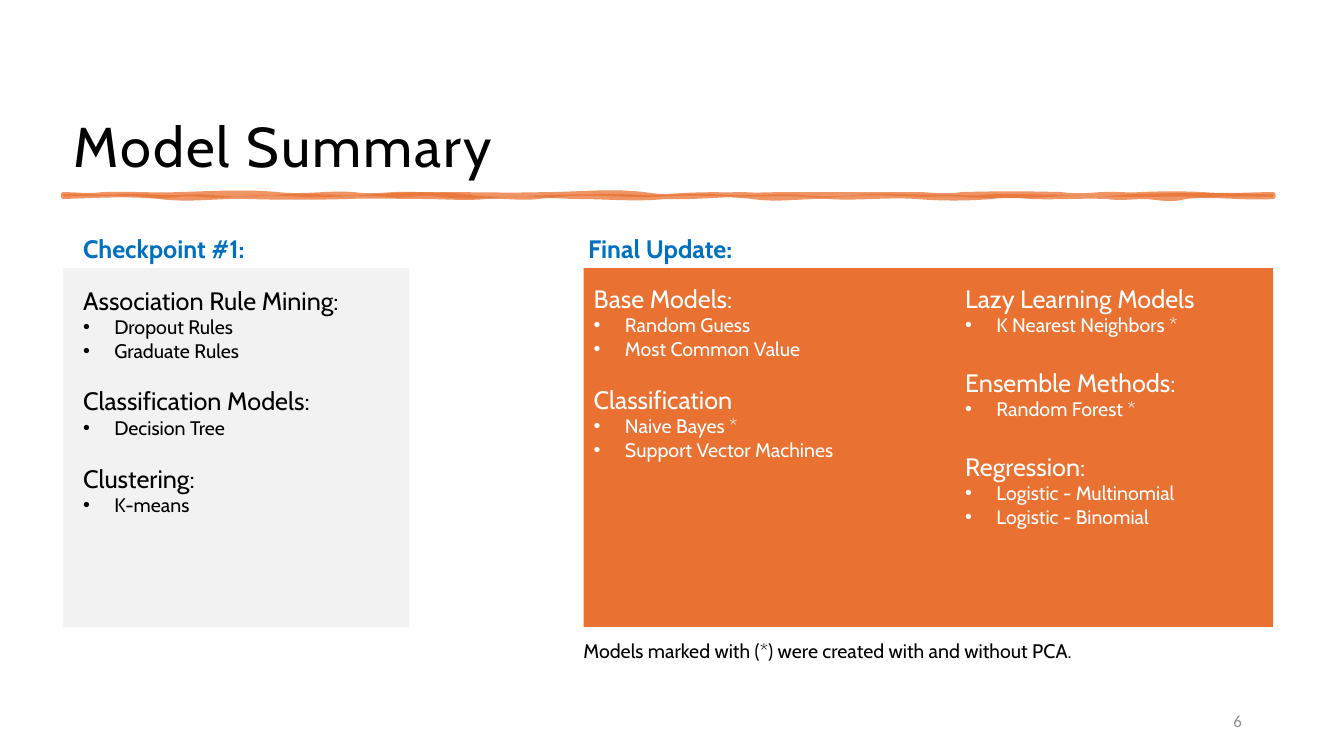
from copy import deepcopy

from lxml.etree import SubElement
from pptx import Presentation
from pptx.dml.color import RGBColor
from pptx.enum.shapes import MSO_SHAPE
from pptx.enum.text import MSO_ANCHOR, PP_ALIGN
from pptx.oxml.ns import qn
from pptx.util import Inches, Pt

BLACK, WHITE, GRAY, PALE = "000000", "FFFFFF", "8C8C8C", "F2F2F2"
ORANGE, BLUE = "E97132", "0070C0"

OUTLINE_TOP = [
    (13, 0, 2), (25, -1, 1), (33, -1, -3), (25, 3, -2), (13, 2, 1), (17, -1, 1),
    (33, 0, 1), (33, 0, -4), (33, 5, 0), (13, 1, 0), (25, 0, 0), (21, 0, 0),
    (13, 1, 2), (33, -1, -1), (13, 2, 1), (13, -1, 1), (21, -1, -1), (23, 2, 0)]
OUTLINE_BOTTOM = [
    (29, 2, -3), (13, 4, 1), (13, 0, 2), (25, -1, 1), (13, -1, -2), (25, 2, 2),
    (29, -2, 2), (25, -1, 4), (29, -3, -2), (29, 3, 0), (13, 0, -2), (17, 2, -1),
    (21, 2, 0), (25, 0, -1), (33, 1, 1), (29, -1, 4), (32, -3, -1)]
BODY_TOP = [
    (17, -2, 1), (13, -1, -1), (17, 2, -1), (25, 2, 3), (29, -3, 3), (33, -2, -4),
    (33, 5, 0), (21, 0, -1), (29, 2, -2), (25, 2, -1), (21, 2, 3), (29, -2, 1),
    (13, 0, 2), (21, -1, 0), (25, 1, 3), (49, -2, -2)]
BODY_BOTTOM = [
    (17, 0, 0), (13, 1, 1), (25, 0, 1), (17, -1, -1), (33, 2, 2), (13, -1, 1),
    (25, -1, -2), (13, 2, 1), (17, -1, 0), (29, 0, -2), (33, 2, -3), (17, 3, -2),
    (25, 2, 3), (17, -2, 3), (29, -2, 2), (21, -1, -2), (17, 3, -1), (13, 2, 2),
    (26, -1, -1)]


def color(value):
    return RGBColor.from_string(value)


def wave(segments, x, y, direction):
    curves = []
    for width, first, second in segments:
        step = direction * width / 3
        curves.append([(x + step, y + first), (x + 2 * step, y + second),
                       (x + 3 * step, y)])
        x += direction * width
    return curves


def contour(top, bottom):
    return wave(top, 0, 0, 1) + [[(400, 2)]] + wave(bottom, 400, 2, -1)


class Deck:
    font = "Cabin"
    heading_size = 18
    item_size = 14

    def __init__(self):
        self.prs = Presentation()
        self.prs.slide_width = Inches(13.33)
        self.prs.slide_height = Inches(7.5)
        self.s = self.prs.slides.add_slide(self.prs.slide_layouts[6])

    def x(self, percent):
        return round(self.prs.slide_width * percent / 100)

    def y(self, percent):
        return round(self.prs.slide_height * percent / 100)

    def area(self, left, top, width, height):
        return self.x(left), self.y(top), self.x(width), self.y(height)

    def frame(self, area, anchor=MSO_ANCHOR.TOP):
        tf = self.s.shapes.add_textbox(*self.area(*area)).text_frame
        tf.word_wrap = True
        tf.vertical_anchor = anchor
        return tf

    def run(self, p, text, size, fill, bold=False, font=None):
        r = p.add_run()
        r.text = text
        r.font.name = font or self.font
        r.font.size = Pt(size)
        r.font.bold = bold
        r.font.color.rgb = color(fill)
        return r

    def text(self, area, text, size, fill, bold=False, font=None,
             anchor=MSO_ANCHOR.TOP, align=PP_ALIGN.LEFT):
        p = self.frame(area, anchor).paragraphs[0]
        p.alignment = align
        self.run(p, text, size, fill, bold, font)
        return p

    def title(self, area, text):
        p = self.text(area, text, 40, BLACK, anchor=MSO_ANCHOR.BOTTOM)
        p.line_spacing = 0.9
        p.runs[0].font._element.set("spc", "150")

    def panel(self, area, fill):
        sp = self.s.shapes.add_shape(MSO_SHAPE.RECTANGLE, *self.area(*area))
        sp.shadow.inherit = False
        sp.fill.solid()
        sp.fill.fore_color.rgb = color(fill)
        sp.line.fill.background()

    def model_list(self, area, groups, fill, gap):
        tf = self.frame(area)
        p = tf.paragraphs[0]
        for index, (heading, items) in enumerate(groups):
            if index:
                p = tf.add_paragraph()
                p.space_before = Pt(gap)
            self.run(p, heading, self.heading_size, fill)
            for item in items:
                p = tf.add_paragraph()
                self.bullet(p)
                self.run(p, item, self.item_size, fill)

    def bullet(self, p):
        pPr = p._p.get_or_add_pPr()
        pPr.set("marL", str(Inches(0.31)))
        pPr.set("indent", str(-Inches(0.31)))
        SubElement(pPr, qn("a:buFont"), typeface="Arial")
        SubElement(pPr, qn("a:buChar"), char="•")

    def ribbon(self, left, top, outline, body, fill):
        column, row = Inches(0.03), Inches(0.01)
        x, y = self.x(left), self.y(top)
        builder = self.s.shapes.build_freeform(x, y)
        builder.add_line_segments(
            [(x + c[-1][0] * column, y + c[-1][1] * row) for c in outline])
        sp = builder.convert_to_shape()
        sp.shadow.inherit = False
        sp.fill.solid()
        sp.line.width = Pt(3.5)
        sp.line.fill.solid()
        for paint in (sp.fill, sp.line.fill):
            paint.fore_color.rgb = color(fill)
        for clr in sp._element.spPr.iter(qn("a:srgbClr")):
            SubElement(clr, qn("a:alpha"), val="75000")
        edge = next(sp._element.iter(qn("a:path")))
        inside = deepcopy(edge)
        edge.addnext(inside)
        edge.set("fill", "none")
        inside.set("stroke", "0")
        for path, curves in ((edge, outline), (inside, body)):
            for child in list(path)[1:]:
                path.remove(child)
            for curve in curves:
                tag = "a:cubicBezTo" if len(curve) == 3 else "a:lnTo"
                segment = SubElement(path, qn(tag))
                for px, py in curve:
                    SubElement(segment, qn("a:pt"), x=str(round(px * column)),
                               y=str(round(py * row)))
            SubElement(path, qn("a:close"))


def main():
    deck = Deck()
    deck.title((4.73, 3.47, 90.62, 20.93), "Model Summary")
    deck.ribbon(4.71, 25.73, contour(OUTLINE_TOP, OUTLINE_BOTTOM),
                contour(BODY_TOP, BODY_BOTTOM), ORANGE)
    deck.text((70.64, 92.67, 22.51, 5.33), "6", 12, GRAY, font="Calibri",
              anchor=MSO_ANCHOR.MIDDLE, align=PP_ALIGN.RIGHT)

    for left, label in ((5.44, "Checkpoint #1:"), (43.02, "Final Update:")):
        deck.text((left, 30.2, 22.51, 5.33), label, 18, BLUE, bold=True)

    deck.panel((4.71, 35.47, 25.73, 47.47), PALE)
    deck.model_list((5.44, 37.03, 22.51, 32.27), [
        ("Association Rule Mining:", ["Dropout Rules", "Graduate Rules"]),
        ("Classification Models:", ["Decision Tree"]),
        ("Clustering:", ["K-means"])], BLACK, 16.8)

    deck.panel((43.42, 35.47, 51.31, 47.47), ORANGE)
    deck.model_list((43.44, 36.8, 24.46, 25.07), [
        ("Base Models:", ["Random Guess", "Most Common Value"]),
        ("Classification", ["Naive Bayes *", "Support Vector Machines"])], WHITE, 16.8)
    deck.model_list((71.08, 36.8, 24.46, 34.13), [
        ("Lazy Learning Models", ["K Nearest Neighbors *"]),
        ("Ensemble Methods:", ["Random Forest *"]),
        ("Regression:", ["Logistic - Multinomial", "Logistic - Binomial"])], WHITE, 21.6)

    deck.text((42.66, 83.87, 51.24, 4.53),
              "Models marked with (*) were created with and without PCA.", 14, BLACK)
    deck.prs.save("out.pptx")


if __name__ == "__main__":
    main()
